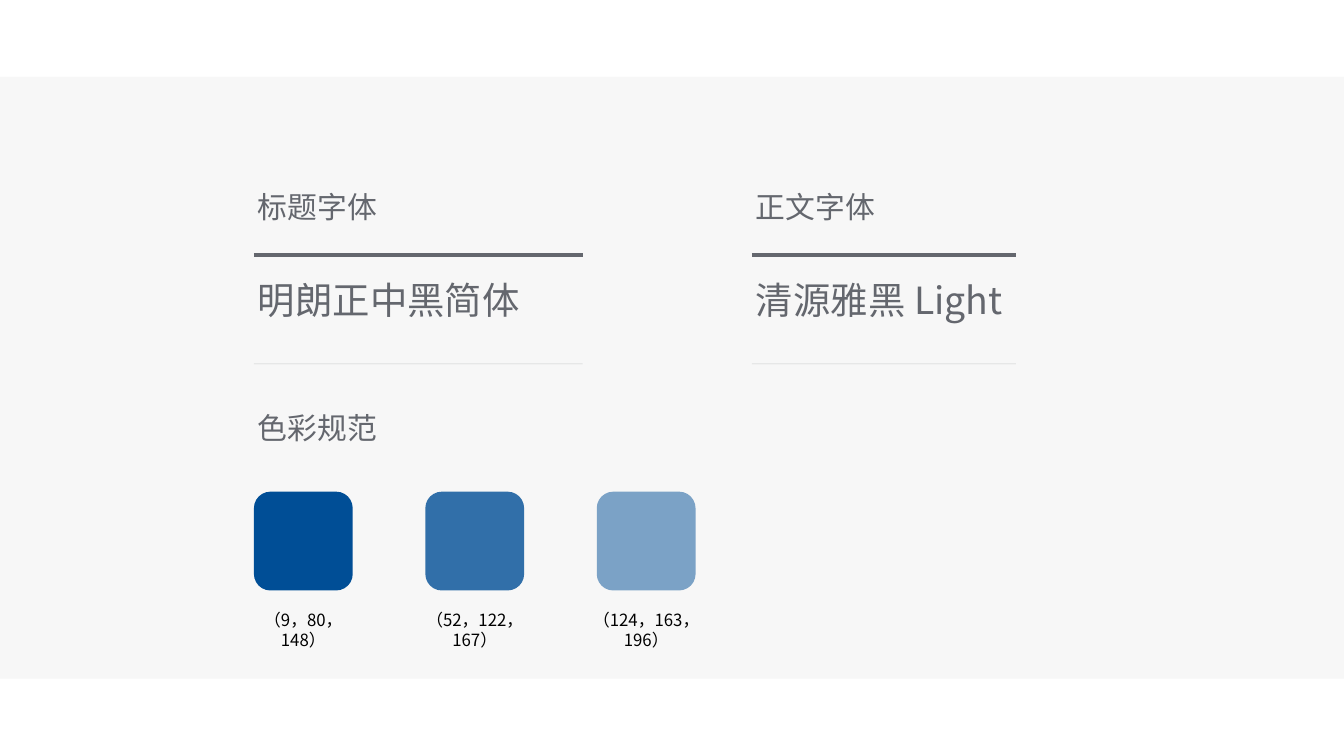
from lxml.etree import SubElement
from pptx import Presentation
from pptx.dml.color import RGBColor
from pptx.enum.shapes import MSO_CONNECTOR as Connector, MSO_SHAPE as Shape
from pptx.enum.text import MSO_AUTO_SIZE as AutoSize, PP_ALIGN as Align
from pptx.oxml.ns import qn
from pptx.util import Cm, Pt

GREY = RGBColor(0x64, 0x67, 0x6E)
BLUE = RGBColor(0x00, 0x4E, 0x96)
BAND = RGBColor(0xF7, 0xF7, 0xF7)
BLACK = RGBColor(0x00, 0x00, 0x00)
HEADING_FONT, BODY_FONT = "Roboto", "Noto Sans CJK SC"
SLIDE_WIDTH, SLIDE_HEIGHT = 33.87, 19.05
TEXT_OUTDENT = 0.15


def set_alpha(fill, percent):
    """Make a solid fill partly transparent."""
    color = fill._xPr.find(qn("a:solidFill"))[0]
    SubElement(color, qn("a:alpha"), val=str(percent * 1000))


def add_text(slide, box, wording, size, font_name, color=GREY, align=Align.LEFT):
    """Write one line of wording in a box given in centimetres."""
    frame = slide.shapes.add_textbox(*map(Cm, box)).text_frame
    frame.word_wrap = True
    frame.auto_size = AutoSize.SHAPE_TO_FIT_TEXT
    paragraph = frame.paragraphs[0]
    paragraph.alignment = align
    run = paragraph.add_run()
    run.text = wording
    run.font.size = Pt(size)
    run.font.name = font_name
    run.font.color.rgb = color
    SubElement(run.font._element, qn("a:ea"), typeface=BODY_FONT)


def add_block(slide, box, kind, color, alpha=100):
    """Draw a filled block without outline."""
    block = slide.shapes.add_shape(kind, *map(Cm, box))
    block.shadow.inherit = False
    block.fill.solid()
    block.fill.fore_color.rgb = color
    block.line.fill.background()
    if alpha < 100:
        set_alpha(block.fill, alpha)


def add_rule(slide, left, top, width, weight, alpha=100):
    """Draw a horizontal grey rule."""
    rule = slide.shapes.add_connector(
        Connector.STRAIGHT, Cm(left), Cm(top), Cm(left + width), Cm(top))
    rule.line.width = Pt(weight)
    rule.line.fill.solid()
    rule.line.color.rgb = GREY
    if alpha < 100:
        set_alpha(rule.line.fill, alpha)
    SubElement(rule._element.spPr, qn("a:effectLst"))


def add_label(slide, left, top, label, font_name):
    """Write the small heading of a region."""
    add_text(slide, (left - TEXT_OUTDENT, top, 3.89, 1.17), label, 21.3, font_name)


def add_font_sample(slide, left, top, width, label, sample, font_name):
    """Place a label and a sample typeface name between two rules."""
    add_label(slide, left, top, label, font_name)
    add_text(slide, (left - TEXT_OUTDENT, top + 2.24, 9.2, 1.4), sample, 26.7, font_name)
    add_rule(slide, left, top + 1.8, width, 3)
    add_rule(slide, left, top + 4.55, width, 0.25, 31)


def add_palette(slide, left, top, swatches):
    """Place a label above a row of captioned swatches."""
    side, pitch = 2.49, 4.32
    add_label(slide, left, top, "色彩规范", HEADING_FONT)
    for index, (alpha, caption, caption_width) in enumerate(swatches):
        swatch_left = left + index * pitch
        caption_left = swatch_left + (side - caption_width) / 2
        add_block(slide, (swatch_left, top + 2.18, side, side),
                  Shape.ROUNDED_RECTANGLE, BLUE, alpha)
        add_text(slide, (caption_left, top + 5.03, caption_width, 0.77),
                 caption, 12, BODY_FONT, BLACK, Align.CENTER)


def main():
    """Build the style guide slide."""
    deck = Presentation()
    deck.slide_width, deck.slide_height = Cm(SLIDE_WIDTH), Cm(SLIDE_HEIGHT)
    slide = deck.slides.add_slide(deck.slide_layouts[6])
    add_block(slide, (0, 1.94, SLIDE_WIDTH, 15.16), Shape.RECTANGLE, BAND)
    add_font_sample(slide, 6.4, 4.62, 8.28, "标题字体", "明朗正中黑简体", HEADING_FONT)
    add_font_sample(slide, 18.95, 4.62, 6.65, "正文字体", "清源雅黑 Light", BODY_FONT)
    add_palette(slide, 6.4, 10.21, [
        (100, "（9，80，148）", 3.12),
        (80, "（52，122，167）", 3.66),
        (50, "（124，163，196）", 4.11),
    ])
    deck.save("out.pptx")


if __name__ == "__main__":
    main()
